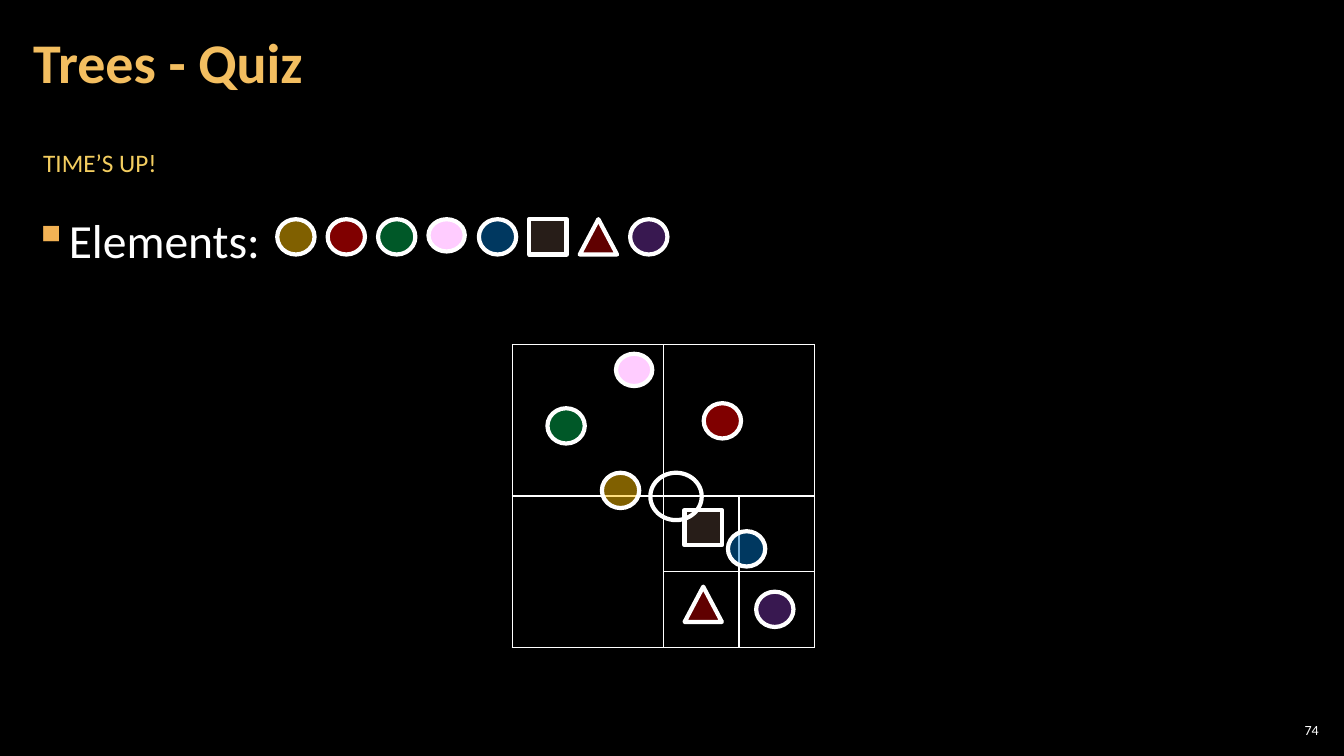
from lxml import etree
from pptx import Presentation
from pptx import util as u
from pptx.dml.color import RGBColor
from pptx.enum import shapes, text
from pptx.oxml import ns

COLORS = {
    "black": "000000", "white": "FFFFFF", "title": "F3BE60", "notice": "F3CD60",
    "bullet": "F2B254", "gold": "FFC000", "red": "FF0000", "green": "00B050",
    "pink": "FFCCFF", "blue": "0070C0", "brown": "4E3B30", "crimson": "C00000",
    "purple": "7030A0",
}
OVAL = shapes.MSO_SHAPE.OVAL
SQUARE = shapes.MSO_SHAPE.RECTANGLE
TRIANGLE = shapes.MSO_SHAPE.ISOSCELES_TRIANGLE
ELEMENTS = [
    ("gold", OVAL, (23.88, 18.76)),
    ("red", OVAL, (27.92, 16)),
    ("green", OVAL, (21.72, 16.2)),
    ("pink", OVAL, (24.44, 14.04)),
    ("blue", OVAL, (28.88, 21.08)),
    ("brown", SQUARE, (27.16, 20.24)),
    ("crimson", TRIANGLE, (27.16, 23.28)),
    ("purple", OVAL, (30, 23.48)),
]


class QuizSlide:
    """Draws on one slide with a grid of quarter-inch columns and rows."""

    font = "Calibri"
    cell = 0.25

    def __init__(self, deck):
        self.page = deck.slides.add_slide(deck.slide_layouts[6])
        fill = self.page.background.fill
        fill.solid()
        fill.fore_color.rgb = self.color("black")

    def color(self, name):
        return RGBColor.from_string(COLORS[name])

    def grid(self, *counts):
        return [u.Inches(count * self.cell) for count in counts]

    def child(self, parent, tag, **attributes):
        return etree.SubElement(parent, ns.qn(tag), attributes)

    def label(self, words, place, size, color, bold=False, wrap=True, inset=(0.12, 0.04),
              anchor="TOP", align="LEFT", leading=1, space=0, bullet=None):
        box = self.page.shapes.add_textbox(*self.grid(*place))
        frame = box.text_frame
        frame.word_wrap = wrap
        frame.vertical_anchor = text.MSO_ANCHOR[anchor]
        frame.margin_left = frame.margin_right = u.Inches(inset[0])
        frame.margin_top = frame.margin_bottom = u.Inches(inset[1])
        para = frame.paragraphs[0]
        para.text = words
        para.alignment = text.PP_ALIGN[align]
        para.line_spacing = leading
        para.space_before = para.space_after = u.Pt(space)
        if bullet:
            self.bullet(para, bullet)
        para.font.name = self.font
        para.font.size = u.Pt(size)
        para.font.bold = bold
        para.font.color.rgb = self.color(color)

    def bullet(self, para, mark):
        properties = para._p.get_or_add_pPr()
        indent = u.Inches(0.33)
        properties.set("marL", str(indent))
        properties.set("indent", str(-indent))
        tint = self.child(properties, "a:buClr")
        self.child(tint, "a:srgbClr", val=COLORS["bullet"])
        self.child(properties, "a:buChar", char=mark)

    def element(self, kind, place, size, color=None, opacity=100):
        shape = self.page.shapes.add_shape(kind, *self.grid(*place, *size))
        shape.shadow.inherit = False
        shape.line.color.rgb = self.color("white")
        shape.line.width = u.Pt(3)
        if color is None:
            shape.fill.background()
            return
        shape.fill.solid()
        shape.fill.fore_color.rgb = self.color(color)
        if opacity < 100:
            tint = shape._element.spPr.find(ns.qn("a:solidFill"))[0]
            self.child(tint, "a:alpha", val=str(opacity * 1000))

    def quadtree(self, place, spans, merges):
        count = len(spans)
        side = sum(spans)
        table = self.page.shapes.add_table(count, count, *self.grid(*place, side, side)).table
        table.first_row = table.horz_banding = False
        for column, row, length in zip(table.columns, table.rows, self.grid(*spans)):
            column.width = row.height = length
        for first, last in merges:
            table.cell(*first).merge(table.cell(*last))
        for cell in table.iter_cells():
            self.border(cell)
            cell.fill.background()

    def border(self, cell):
        properties = cell._tc.get_or_add_tcPr()
        for edge in "LRTB":
            line = self.child(properties, f"a:ln{edge}", w=str(u.Pt(1)))
            paint = self.child(line, "a:solidFill")
            self.child(paint, "a:srgbClr", val=COLORS["white"])


def main():
    deck = Presentation()
    deck.slide_width, deck.slide_height = u.Inches(13.33), u.Inches(7.5)
    quiz = QuizSlide(deck)
    quiz.label("TIME’S UP!", (1.32, 5.64, 5.36, 1.6), 18, "notice",
               wrap=False, inset=(0.1, 0.05))
    quiz.label("74", (50.6, 28.56, 1.88, 0.84), 10, "white",
               inset=(0.04, 0.04), anchor="MIDDLE", align="RIGHT")
    quiz.label("Elements:", (0.84, 8.08, 51.64, 21.32), 34, "white",
               leading=1.05, space=6, bullet="▪")
    quiz.label("Trees - Quiz", (0.84, 0.16, 41.88, 4.84), 40, "title",
               bold=True, anchor="MIDDLE", leading=0.9)
    quiz.quadtree((20.32, 13.68), (6, 3, 3), [((0, 1), (0, 2)), ((1, 0), (2, 0))])
    for index, (color, kind, spot) in enumerate(ELEMENTS):
        solid = color == "pink"
        size = (1.44, 1.28) if solid else (1.48, 1.4)
        for place in (spot, (11 + 2 * index, 8.7)):
            quiz.element(kind, place, size, color, 100 if solid else 50)
    quiz.element(OVAL, (25.8, 18.76), (2.04, 1.88))
    deck.save("out.pptx")


if __name__ == "__main__":
    main()
